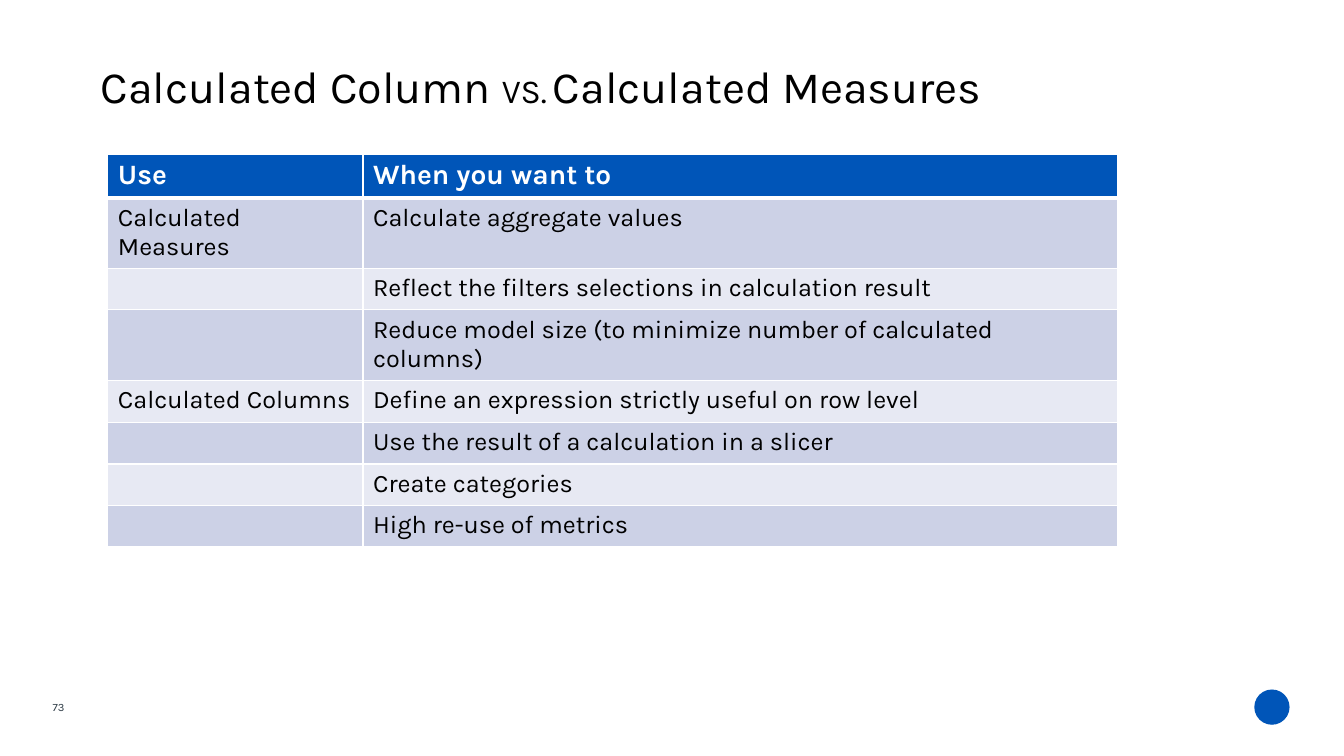
from dataclasses import dataclass

from lxml.etree import SubElement
from pptx import Presentation
from pptx.dml.color import RGBColor
from pptx.enum.shapes import MSO_SHAPE as Shape
from pptx.enum.text import MSO_ANCHOR as Anchor, MSO_AUTO_SIZE as AutoSize, PP_ALIGN as Align
from pptx.oxml.ns import qn
from pptx.slide import Slide
from pptx.table import _Cell as Cell
from pptx.text.text import Font
from pptx.util import Inches, Pt

FONT = "Karla"
COLORS = {
    "blue": "0055B8",
    "band_dark": "CCD1E6",
    "band_light": "E7E9F3",
    "white": "FFFFFF",
    "black": "000000",
    "slate": "303E48",
}


@dataclass
class TableRow:
    use: str
    purpose: str
    height: float = 0.41


@dataclass
class TitlePart:
    text: str
    size: int


TITLE_PARTS = [
    TitlePart("Calculated Column ", 32),
    TitlePart("VS.", 24),
    TitlePart(" ", 18),
    TitlePart("Calculated Measures", 32),
]
COLUMN_WIDTHS = [2.53, 7.48]
ROWS = [
    TableRow("Use", "When you want to"),
    TableRow("Calculated Measures", "Calculate aggregate values", 0.69),
    TableRow("", "Reflect the filters selections in calculation result"),
    TableRow("", "Reduce model size (to minimize number of calculated columns)", 0.69),
    TableRow("Calculated Columns", "Define an expression strictly useful on row level", 0.42),
    TableRow("", "Use the result of a calculation in a slicer"),
    TableRow("", "Create categories"),
    TableRow("", "High re-use of metrics"),
]


def color(name: str) -> RGBColor:
    return RGBColor.from_string(COLORS[name])


def style_font(font: Font, size: float, color_name: str, bold: bool = False) -> None:
    font.name = FONT
    font.size = Pt(size)
    font.bold = bold
    font.color.rgb = color(color_name)


def add_title(slide: Slide) -> None:
    title = slide.shapes.title
    title.left, title.top = Inches(1), Inches(0.67)
    title.width, title.height = Inches(11.31), Inches(0.45)
    frame = title.text_frame
    frame.margin_left = frame.margin_right = frame.margin_top = frame.margin_bottom = 0
    frame.word_wrap = True
    frame.auto_size = AutoSize.NONE
    frame.vertical_anchor = Anchor.MIDDLE
    para = frame.paragraphs[0]
    para.alignment = Align.LEFT
    para.line_spacing = 0.85
    for part in TITLE_PARTS:
        span = para.add_run()
        span.text = part.text
        style_font(span.font, part.size, "black")


def add_borders(cell: Cell, top: float, bottom: float) -> None:
    """Draw white cell borders, with widths in points; must precede the fill."""
    properties = cell._tc.get_or_add_tcPr()
    for side, width in {"L": 1, "R": 1, "T": top, "B": bottom}.items():
        line = SubElement(properties, qn(f"a:ln{side}"), w=str(Pt(width)))
        fill = SubElement(line, qn("a:solidFill"))
        SubElement(fill, qn("a:srgbClr"), val=COLORS["white"])


def fill_cell(cell: Cell, text: str, row_index: int) -> None:
    is_header = row_index == 0
    add_borders(cell, top=3 if row_index == 1 else 1, bottom=3 if is_header else 1)
    band = "band_dark" if row_index % 2 else "band_light"
    cell.fill.solid()
    cell.fill.fore_color.rgb = color("blue" if is_header else band)
    cell.text_frame.text = text
    for span in cell.text_frame.paragraphs[0].runs:
        if is_header:
            style_font(span.font, 20, "white", bold=True)
        else:
            style_font(span.font, 18, "black")


def add_usage_table(slide: Slide) -> None:
    height = sum(row.height for row in ROWS)
    table = slide.shapes.add_table(
        len(ROWS), len(COLUMN_WIDTHS),
        Inches(1.07), Inches(1.53), Inches(sum(COLUMN_WIDTHS)), Inches(height),
    ).table
    for column, width in zip(table.columns, COLUMN_WIDTHS):
        column.width = Inches(width)
    for row_index, row in enumerate(ROWS):
        table.rows[row_index].height = Inches(row.height)
        for column_index, text in enumerate((row.use, row.purpose)):
            fill_cell(table.cell(row_index, column_index), text, row_index)


def add_page_number(slide: Slide) -> None:
    box = slide.shapes.add_textbox(Inches(0.03), Inches(6.9), Inches(0.61), Inches(0.24))
    frame = box.text_frame
    frame.word_wrap = True
    frame.margin_right = 0
    frame.text = "73"
    para = frame.paragraphs[0]
    para.alignment = Align.RIGHT
    style_font(para.runs[0].font, 8, "slate")


def add_corner_mark(slide: Slide) -> None:
    mark = slide.shapes.add_shape(
        Shape.OVAL, Inches(12.44), Inches(6.84), Inches(0.35), Inches(0.35)
    )
    mark.shadow.inherit = False
    mark.fill.solid()
    mark.fill.fore_color.rgb = color("blue")
    mark.line.fill.background()


def main() -> None:
    deck = Presentation()
    deck.slide_width, deck.slide_height = Inches(13.33), Inches(7.5)
    slide = deck.slides.add_slide(deck.slide_layouts.get_by_name("Title Only"))
    add_page_number(slide)
    add_corner_mark(slide)
    add_title(slide)
    add_usage_table(slide)
    deck.save("out.pptx")


if __name__ == "__main__":
    main()
